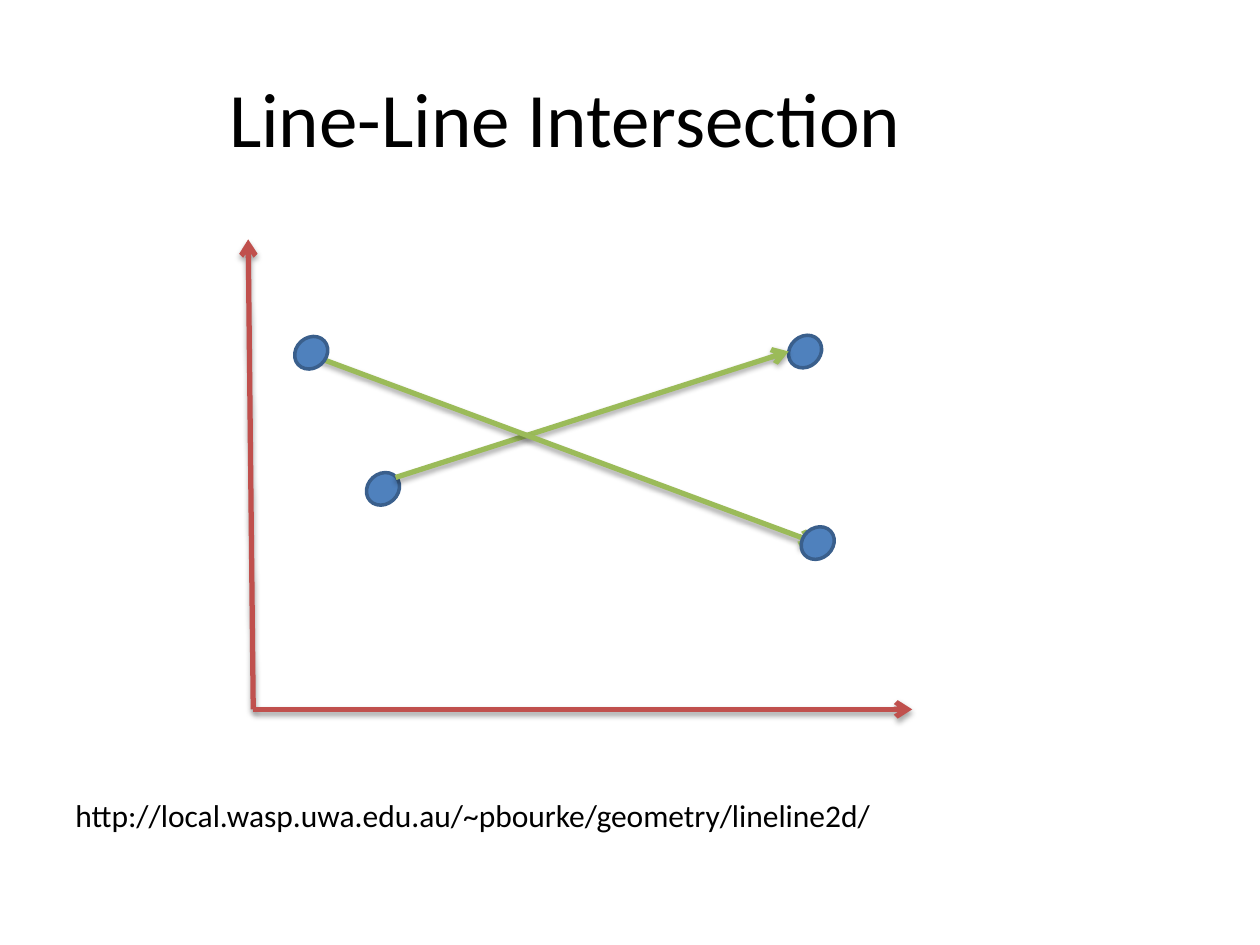
from typing import NamedTuple

from lxml.etree import SubElement
from pptx import Presentation
from pptx.dml.color import RGBColor
from pptx.enum.shapes import MSO_CONNECTOR as CONN, MSO_SHAPE as SHAPE
from pptx.enum.text import MSO_ANCHOR as ANCHOR, MSO_AUTO_SIZE as AUTO, PP_ALIGN as ALIGN
from pptx.oxml.ns import qn
from pptx.util import Emu, Inches, Pt

FONT = "Calibri"
BLACK, BLUE, NAVY = "000000", "4F81BD", "3A5F8C"
RED, GREEN = "C0504D", "9BBB59"
LEFT, WIDTH = 5, 79.7  # shared by title and link, percent of slide width
DOT_W, DOT_H, DOT_TURN = 2.8, 3.2, 317.8


class Point(NamedTuple):
    """Position in percent of the slide's width and height."""
    x: float
    y: float


class Arrow(NamedTuple):
    start: Point
    end: Point
    color: str


prs = Presentation()
prs.slide_width, prs.slide_height = Inches(10), Inches(7.5)


def across(share: float) -> Emu:
    return Emu(round(prs.slide_width * share / 100))


def down(share: float) -> Emu:
    return Emu(round(prs.slide_height * share / 100))


def rgb(color: str) -> RGBColor:
    return RGBColor.from_string(color)


def write(tf, text: str, size: float, align=ALIGN.LEFT) -> None:
    tf.text = text
    tf.word_wrap = True
    p = tf.paragraphs[0]
    p.alignment = align
    font = p.runs[0].font
    font.name, font.size, font.color.rgb = FONT, Pt(size), rgb(BLACK)


def add_shadow(sp_pr) -> None:
    effects = SubElement(sp_pr, qn("a:effectLst"))
    shadow = SubElement(effects, qn("a:outerShdw"), blurRad=str(Pt(3.1)),
                        dist=str(Pt(1.8)), dir=str(90 * 60000), rotWithShape="0")
    color = SubElement(shadow, qn("a:srgbClr"), val=BLACK)
    SubElement(color, qn("a:alpha"), val="35000")


def draw_arrow(shapes, arrow: Arrow) -> None:
    (x1, y1), (x2, y2), color = arrow
    s = shapes.add_connector(CONN.STRAIGHT, across(x1), down(y1), across(x2), down(y2))
    s.line.color.rgb, s.line.width = rgb(color), Pt(3)
    sp_pr = s._element.spPr
    SubElement(sp_pr.find(qn("a:ln")), qn("a:tailEnd"), type="arrow")
    add_shadow(sp_pr)


def draw_dot(shapes, center: Point) -> None:
    s = shapes.add_shape(SHAPE.OVAL, across(center.x - DOT_W / 2), down(center.y - DOT_H / 2),
                         across(DOT_W), down(DOT_H))
    s.rotation = DOT_TURN
    s.shadow.inherit = False
    s.fill.solid()
    s.fill.fore_color.rgb = rgb(BLUE)
    s.line.color.rgb, s.line.width = rgb(NAVY), Pt(2)


slide = prs.slides.add_slide(prs.slide_layouts[5])

# Title
title = slide.shapes.title
title.left, title.top, title.width, title.height = across(LEFT), down(4), across(WIDTH), down(16.67)
title.text_frame.vertical_anchor = ANCHOR.MIDDLE
write(title.text_frame, "Line-Line Intersection", 44, ALIGN.CENTER)

# Diagram: the rising segment's dots lie behind the arrows, the falling one's in front
ORIGIN = Point(20.1, 75.07)
ARROWS = [
    Arrow(ORIGIN, Point(19.7, 25.33), RED),
    Arrow(ORIGIN, Point(72.4, 75.07), RED),
    Arrow(Point(31.4, 50.53), Point(62.6, 37.2), GREEN),
    Arrow(Point(25, 37.73), Point(64.8, 57.47), GREEN),
]
RISING_DOTS = [Point(30.4, 51.73), Point(63.9, 37.2)]
FALLING_DOTS = [Point(24.7, 37.33), Point(64.9, 57.47)]

diagram = slide.shapes.add_group_shape().shapes
for dot in RISING_DOTS:
    draw_dot(diagram, dot)
for arrow in ARROWS:
    draw_arrow(diagram, arrow)
for dot in FALLING_DOTS:
    draw_dot(diagram, dot)

# Source link
link = slide.shapes.add_textbox(across(LEFT), down(83.6), across(WIDTH), down(5.33))
write(link.text_frame, "http://local.wasp.uwa.edu.au/~pbourke/geometry/lineline2d/", 18)
link.text_frame.auto_size = AUTO.SHAPE_TO_FIT_TEXT

prs.save("out.pptx")
